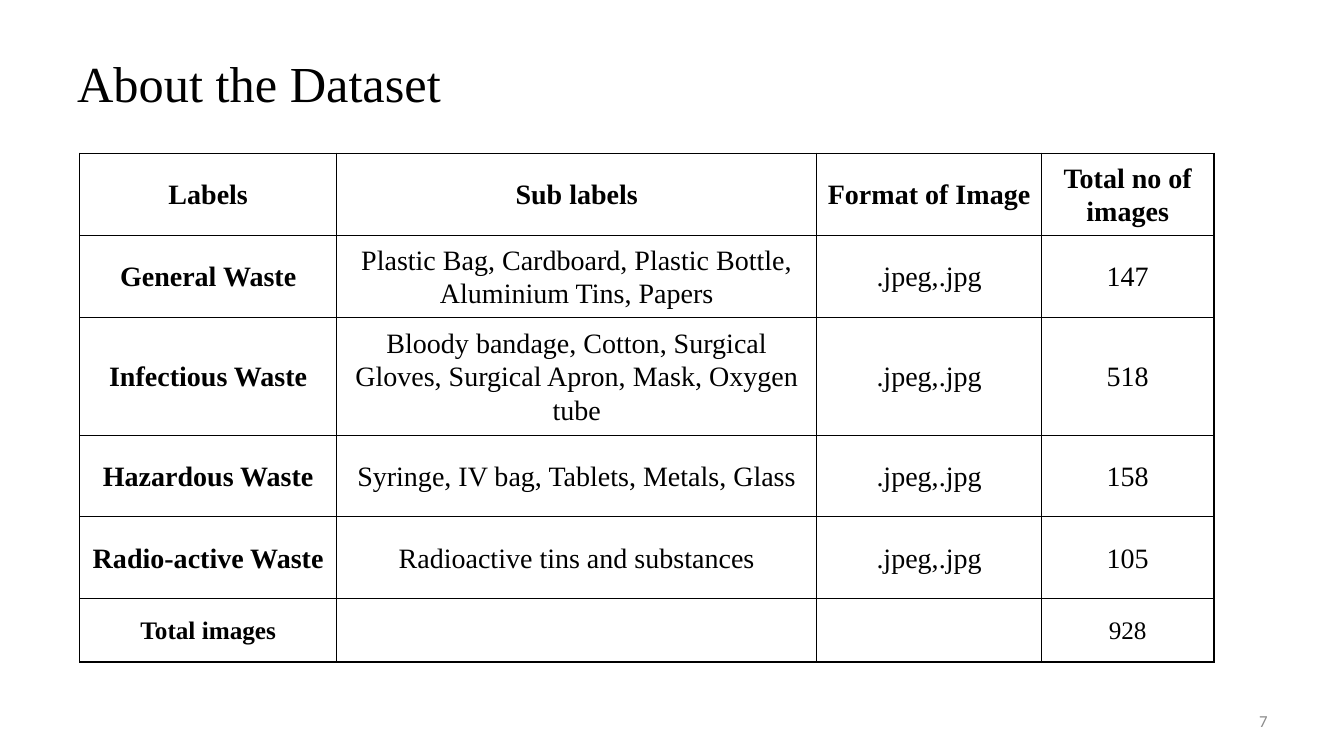
"""Build the slide that describes the waste image dataset."""
import pptx
import pptx.util
import pptx.dml.color
import pptx.enum.text
import pptx.oxml
import pptx.oxml.ns

Inches = pptx.util.Inches
ALIGN = pptx.enum.text.PP_ALIGN
MIDDLE = pptx.enum.text.MSO_ANCHOR.MIDDLE
SERIF = "Times New Roman"
W, H = 13.33, 7.5


def style(p, size, color, font, align, bold=False):
    """Align a paragraph and format its runs."""
    p.alignment = align
    for r in p.runs:
        r.font.size = pptx.util.Pt(size)
        r.font.name = font
        r.font.bold = bold
        r.font.color.rgb = pptx.dml.color.RGBColor.from_string(color)


prs = pptx.Presentation()
prs.slide_width, prs.slide_height = Inches(W), Inches(H)
s = prs.slides.add_slide(prs.slide_layouts[6])

texts = [
    ("7", (9.56, 6.95, 3.11, 0.4), 12, "8C8C8C", "Calibri", ALIGN.RIGHT),
    ("About the Dataset", (W * 0.05, 0.19, W * 0.9, H / 6), 36, "000000", SERIF, ALIGN.LEFT),
]
for text, box, size, color, font, align in texts:
    tf = s.shapes.add_textbox(*map(Inches, box)).text_frame
    tf.word_wrap = True
    tf.vertical_anchor = MIDDLE
    tf.text = text
    style(tf.paragraphs[0], size, color, font, align)

rows = [
    ("Labels", "Sub labels", "Format of Image", "Total no of images"),
    ("General Waste", "Plastic Bag, Cardboard, Plastic Bottle, Aluminium Tins, Papers", ".jpeg,.jpg", "147"),
    ("Infectious Waste", "Bloody bandage, Cotton, Surgical Gloves, Surgical Apron, Mask, Oxygen tube",
     ".jpeg,.jpg", "518"),
    ("Hazardous Waste", "Syringe, IV bag, Tablets, Metals, Glass", ".jpeg,.jpg", "158"),
    ("Radio-active Waste", "Radioactive tins and substances", ".jpeg,.jpg", "105"),
    ("Total images", "", "", "928"),
]
widths = [2.55, 4.76, 2.23, 1.71]
heights = [0.81, 0.81, 1.13, 0.81, 0.81, 0.63]
last = len(rows) - 1

table = s.shapes.add_table(len(rows), len(widths), Inches(0.79), Inches(1.52),
                           Inches(sum(widths)), Inches(sum(heights))).table
for column, width in zip(table.columns, widths):
    column.width = Inches(width)
for row, height in zip(table.rows, heights):
    row.height = Inches(height)

for i, labels in enumerate(rows):
    for j, label in enumerate(labels):
        cell = table.cell(i, j)
        cell.margin_left = cell.margin_right = Inches(0.07)
        cell.vertical_anchor = MIDDLE
        tcPr = cell._tc.get_or_add_tcPr()
        for side in ("lnL", "lnR", "lnT", "lnB"):
            tcPr.append(pptx.oxml.parse_xml(
                f'<a:{side} {pptx.oxml.ns.nsdecls("a")} w="12700"><a:solidFill>'
                f'<a:srgbClr val="000000"/></a:solidFill></a:{side}>'))
        cell.fill.background()
        cell.text_frame.text = label
        p = cell.text_frame.paragraphs[0]
        p.line_spacing = 1.07
        style(p, 18 if i == last else 20, "000000", SERIF, ALIGN.CENTER, i == 0 or j == 0)

prs.save("out.pptx")
